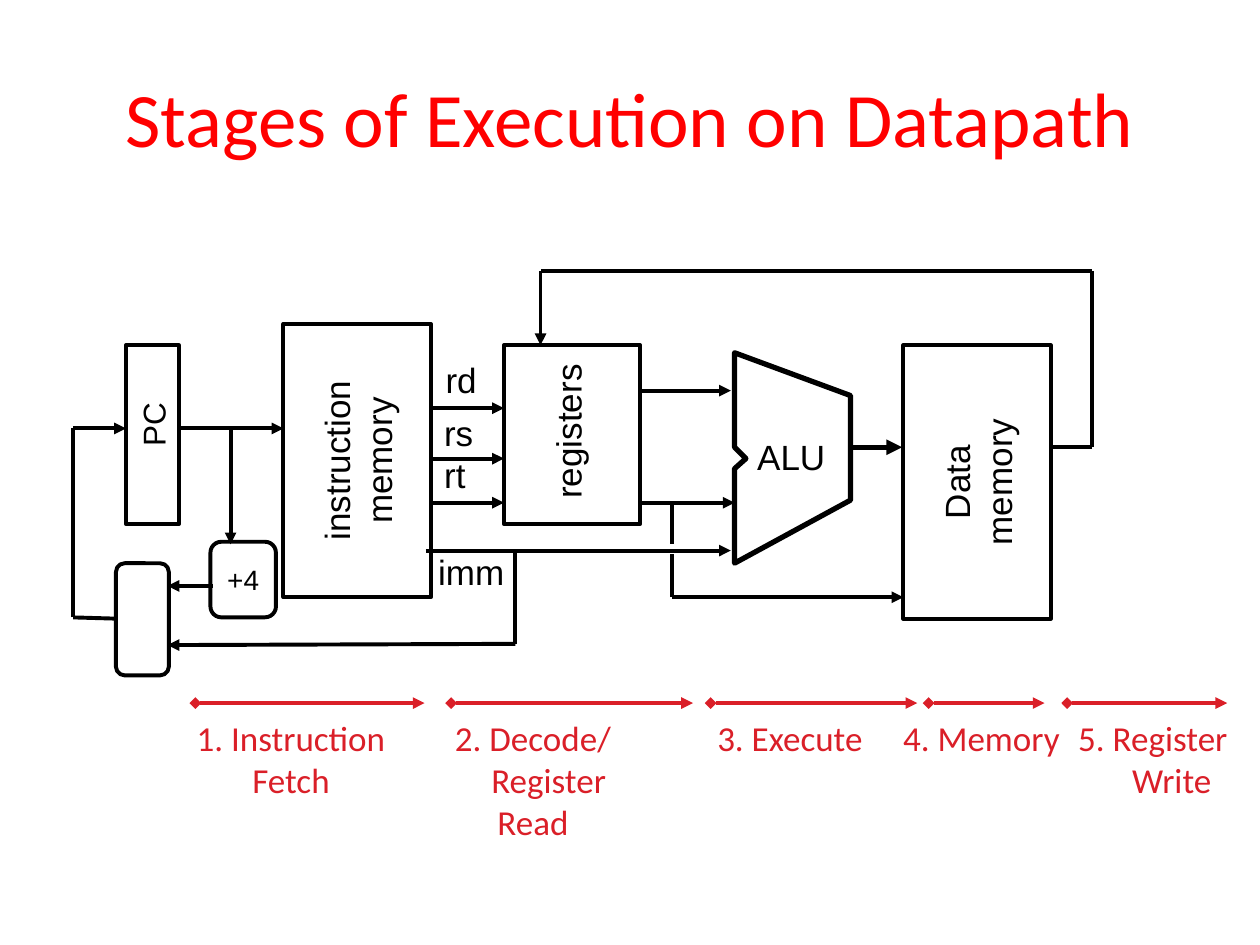
from itertools import pairwise

from lxml import etree
from pptx import Presentation, util as u
from pptx.dml.color import RGBColor
from pptx.enum import shapes, text
from pptx.oxml.ns import qn

BLACK = RGBColor(0, 0, 0)
WHITE = RGBColor(255, 255, 255)
TITLE_RED = RGBColor(255, 0, 0)
STAGE_RED = RGBColor(0xDA, 0x1F, 0x28)
CELL = u.Inches(0.1)  # the slide is a grid of 100 columns by 75 rows


def grid(*cells):
    return [round(c * CELL) for c in cells]


def write(tf, words, size=20, font="Arial", color=BLACK,
          anchor=text.MSO_ANCHOR.MIDDLE, last_indents=()):
    """Write centred lines; last_indents maps a line number to its left margin in cells."""
    tf.word_wrap = True
    tf.margin_left = tf.margin_right = 0
    tf.vertical_anchor = anchor
    indents = dict(last_indents)
    for i, line in enumerate(words.split("\n")):
        p = tf.paragraphs[0] if i == 0 else tf.add_paragraph()
        p.alignment = text.PP_ALIGN.CENTER
        if i in indents:
            p._p.get_or_add_pPr().set("marL", str(*grid(indents[i])))
        r = p.add_run()
        r.text = line
        r.font.size, r.font.name = u.Pt(size), font
        r.font.color.rgb = color


class Diagram:
    def __init__(self, s, weight=2.25):
        self.s, self.weight = s, weight

    def outline(self, sp, weight=None):
        sp.shadow.inherit = False
        sp.line.color.rgb = BLACK
        sp.line.width = u.Pt(weight or self.weight)

    def block(self, x, y, w, h, words="", rounded=False, turned=False, **fmt):
        """Draw a box; a turned box is laid on its side and rotated into place."""
        if turned:
            x, y, w, h = x + (w - h) / 2, y + (h - w) / 2, h, w
        kind = shapes.MSO_SHAPE.ROUNDED_RECTANGLE if rounded else shapes.MSO_SHAPE.RECTANGLE
        sp = self.s.shapes.add_shape(kind, *grid(x, y, w, h))
        sp.rotation = 270 if turned else 0
        sp.fill.solid()
        sp.fill.fore_color.rgb = WHITE
        self.outline(sp)
        if words:
            write(sp.text_frame, words, **fmt)

    def label(self, x, y, w, h, words, rotation=0, **fmt):
        sp = self.s.shapes.add_textbox(*grid(x, y, w, h))
        sp.rotation = rotation
        write(sp.text_frame, words, **fmt)

    def polygon(self, points, weight):
        start, *rest = [grid(*pt) for pt in points]
        fb = self.s.shapes.build_freeform(*start, scale=1.0)
        fb.add_line_segments(rest, close=True)
        sp = fb.convert_to_shape()
        sp.fill.background()
        self.outline(sp, weight)

    def wire(self, *points, arrow=True, head=None, color=BLACK, weight=None):
        """Join the points with straight lines, the last one ending in an arrow."""
        for a, b in pairwise(points):
            c = self.s.shapes.add_connector(shapes.MSO_CONNECTOR.STRAIGHT, *grid(*a, *b))
            c.line.color.rgb = color
            c.line.width = u.Pt(weight or self.weight)
            etree.SubElement(c._element.spPr, qn("a:effectLst"))
            ln = c.line._get_or_add_ln()
            if head:
                etree.SubElement(ln, qn("a:headEnd"), type=head)
            if arrow and b == points[-1]:
                etree.SubElement(ln, qn("a:tailEnd"), type="triangle")


def main():
    prs = Presentation()
    prs.slide_width, prs.slide_height = grid(100, 75)
    d = Diagram(prs.slides.add_slide(prs.slide_layouts[6]))

    d.label(5, 3, 90, 12.5, "Stages of Execution on Datapath",
            size=44, font="Calibri", color=TITLE_RED)

    # Units of the datapath
    d.block(10, 27.4, 4.2, 14.2)
    d.label(9.4, 31.7, 5.5, 4, "PC", rotation=270, size=18)
    d.block(22.5, 25.7, 11.7, 21.7, "instruction\nmemory", turned=True)
    d.block(40, 27.4, 10.8, 14.2)
    d.label(37.9, 32.1, 14.3, 4.3, "registers", rotation=270)
    d.block(71.7, 27.4, 11.7, 21.7, "Data\nmemory", turned=True)
    d.block(16.7, 43, 5.2, 6, "+4", rounded=True, size=16)
    d.block(9.2, 44.7, 4.2, 8.9, rounded=True)

    # ALU
    d.polygon([(58.3, 28), (67.5, 31.4), (67.5, 39.7), (58.3, 44.7),
               (58.3, 37.2), (59.2, 36.4), (58.3, 35.5)], weight=3)
    d.label(57.6, 34.1, 10.4, 5.2, "ALU", anchor=text.MSO_ANCHOR.TOP)
    d.wire((67.5, 35.5), (71.6, 35.5), weight=3)

    # Instruction fields
    for y in (32.4, 36.4, 39.9):
        d.wire((34.2, y), (40, y))
    for x, y, w, field in ((33.7, 28, 5.8, "rd"), (33.5, 32.2, 5.8, "rs"),
                           (33.2, 35.5, 5.8, "rt"), (32.8, 43.2, 9.2, "imm")):
        d.label(x, y, w, 4.3, field)

    # Operands and the store path, which skips over the immediate
    d.wire((50.8, 31), (58, 31))
    d.wire((50.8, 39.9), (58.3, 39.9))
    d.wire((33.8, 43.7), (58, 43.7))
    d.wire((53.3, 39.9), (53.3, 43.2), arrow=False)
    d.wire((53.3, 44), (53.3, 47.4), (71.7, 47.4))

    # Write-back to the registers
    d.wire((83.3, 35.5), (86.7, 35.5), (86.7, 21.5), (42.9, 21.5), (42.9, 27.4))

    # Next program counter
    d.wire((14.2, 34), (22.5, 34))
    d.wire((18.3, 34), (18.3, 43.2))
    d.wire((16.9, 46.5), (13.3, 46.5))
    d.wire((40.9, 43.7), (40.9, 51.1), (13.3, 51.2))
    d.wire((9.2, 49.1), (5.8, 49), (5.8, 34), (10, 34))

    # Stages: arrow start, arrow end, label centre, words, indents
    for start, end, centre, words, indents in (
            (15.5, 33.7, 23.1, "1. Instruction\nFetch", {}),
            (35.8, 55, 42.3, "2. Decode/\nRegister\nRead", {1: 2.5}),
            (56.4, 72.8, 62.7, "3. Execute", {}),
            (73.7, 82.9, 77.9, "4. Memory", {}),
            (84.7, 97.4, 91.5, "5. Register\nWrite", {1: 3})):
        d.wire((start, 55.8), (end, 55.8), head="diamond", color=STAGE_RED)
        d.label(centre - 8, 56.4, 16, 1 + 3.4 * len(words.split("\n")), words,
                font="Calibri", color=STAGE_RED, anchor=text.MSO_ANCHOR.TOP,
                last_indents=indents)

    prs.save("out.pptx")


if __name__ == "__main__":
    main()
